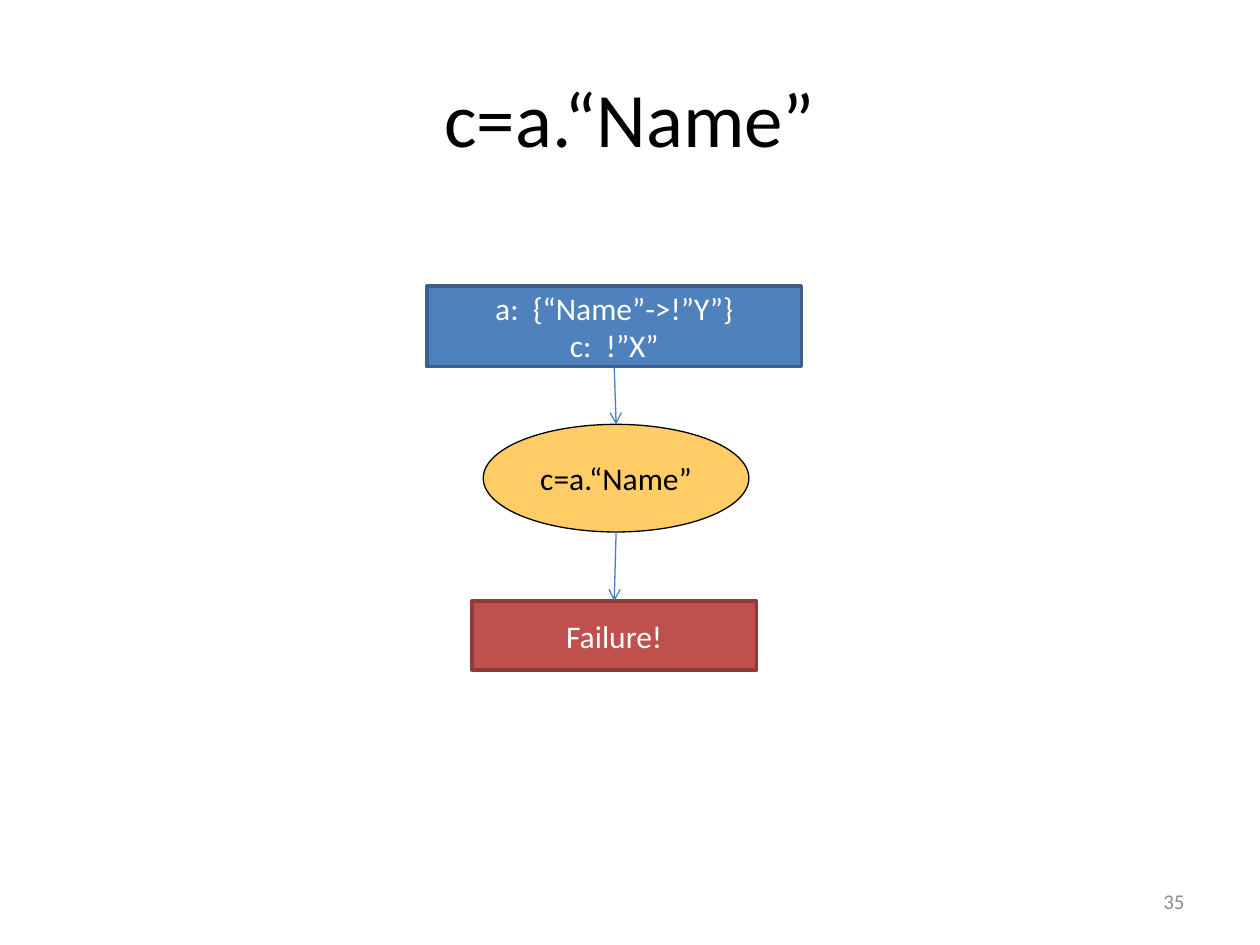
from lxml import etree
from pptx import Presentation
from pptx.dml.color import RGBColor
from pptx.enum.shapes import MSO_CONNECTOR, MSO_SHAPE
from pptx.enum.text import MSO_ANCHOR, PP_ALIGN
from pptx.oxml.ns import qn
from pptx.util import Inches, Pt

RECT, OVAL = MSO_SHAPE.RECTANGLE, MSO_SHAPE.OVAL
STRAIGHT = MSO_CONNECTOR.STRAIGHT
MIDDLE = MSO_ANCHOR.MIDDLE
CENTER, RIGHT = PP_ALIGN.CENTER, PP_ALIGN.RIGHT

WIDTH, HEIGHT = 10, 7.5
FONT = "Calibri"
COLORS = {
    "black": "000000", "white": "FFFFFF", "gray": "8C8C8C",
    "blue": "4F81BD", "blue_edge": "3A5F8C", "arrow": "4B7EBC",
    "amber": "FFCC66", "red": "C0504D", "red_edge": "8E3B39",
}


def rgb(name):
    """Look up a named colour."""
    return RGBColor.from_string(COLORS[name])


def write(sp, lines, size, color, align=CENTER, wrap=True):
    """Fill a shape with one paragraph per line, centred vertically."""
    tf = sp.text_frame
    for key, value in {"word_wrap": wrap, "vertical_anchor": MIDDLE}.items():
        setattr(tf, key, value)
    for i, line in enumerate(lines):
        p = tf.add_paragraph() if i else tf.paragraphs[0]
        p.alignment = align
        r = p.add_run()
        r.text = line
        for key, value in {"name": FONT, "size": Pt(size)}.items():
            setattr(r.font, key, value)
        r.font.color.rgb = rgb(color)


def add_label(slide, box, text, size, color, align=CENTER):
    """Place a line of plain text in a box."""
    sp = slide.shapes.add_textbox(*map(Inches, box))
    write(sp, [text], size, color, align)


def add_node(slide, box, kind, fill, edge, weight, lines, color, wrap=True):
    """Place one flow node in a box."""
    sp = slide.shapes.add_shape(kind, *map(Inches, box))
    sp.shadow.inherit = False
    sp.fill.solid()
    sp.fill.fore_color.rgb = rgb(fill)
    sp.line.color.rgb = rgb(edge)
    sp.line.width = Pt(weight)
    write(sp, lines, 18, color, wrap=wrap)
    return sp


def add_arrow(slide, upper, lower):
    """Join the bottom of one node to the top of the next."""
    cx = slide.shapes.add_connector(
        STRAIGHT, upper.left + upper.width // 2, upper.top + upper.height,
        lower.left + lower.width // 2, lower.top)
    cx.line.color.rgb = rgb("arrow")
    cx.line.width = Pt(0.75)
    etree.SubElement(cx.line._get_or_add_ln(), qn("a:tailEnd"), type="arrow")
    etree.SubElement(cx._element.spPr, qn("a:effectLst"))


def add_flow(slide, box, steps):
    """Stack nodes in a box; each step gives its x, y, w, h as shares of it."""
    left, top, width, height = box
    nodes = []
    for (x, y, w, h), *style in steps:
        place = (left + x * width, top + y * height, w * width, h * height)
        nodes.append(add_node(slide, place, *style))
    for upper, lower in zip(nodes, nodes[1:]):
        add_arrow(slide, upper, lower)


prs = Presentation()
prs.slide_width, prs.slide_height = Inches(WIDTH), Inches(HEIGHT)
slide = prs.slides.add_slide(prs.slide_layouts[6])

title = "c=a.“Name”"
steps = [
    ((0, 0, 1, 0.21), RECT, "blue", "blue_edge", 2,
     ["a:  {“Name”->!”Y”}", "c:  !”X”"], "white"),
    ((0.15, 0.36, 0.71, 0.28), OVAL, "amber", "black", 0.75,
     [title], "black", False),
    ((0.12, 0.82, 0.76, 0.18), RECT, "red", "red_edge", 2,
     ["Failure!"], "white"),
]

add_label(slide, (0.05 * WIDTH, 0.04 * HEIGHT, 0.9 * WIDTH, HEIGHT / 6),
          title, 44, "black")
add_flow(slide, (3.39, 2.27, 2.97, 3.05), steps)
add_label(slide, (7.17, 6.95, 2.33, 0.4), "35", 12, "gray", RIGHT)

prs.save("out.pptx")
